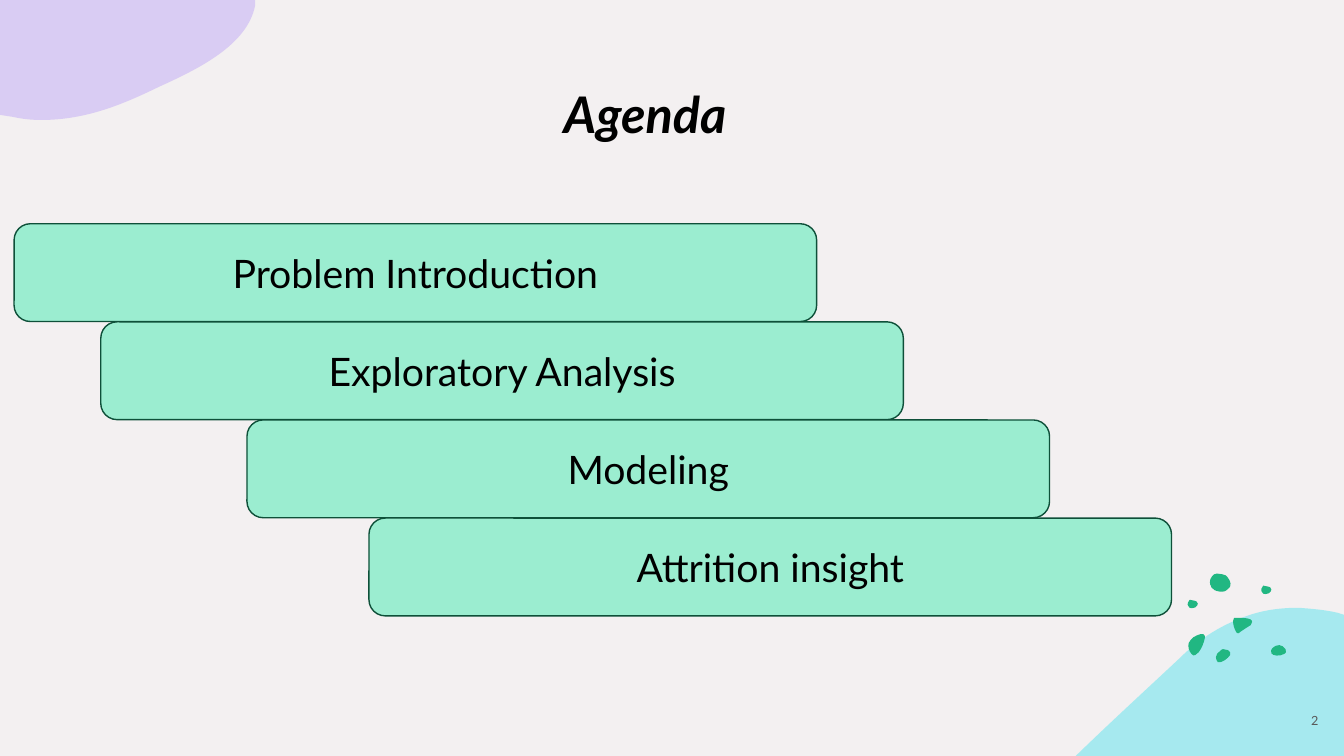
from pptx import Presentation
from pptx.dml.color import RGBColor
from pptx.enum.shapes import MSO_SHAPE
from pptx.enum.text import MSO_ANCHOR, MSO_AUTO_SIZE, PP_ALIGN
from pptx.oxml.ns import qn
from pptx.util import Inches, Pt
from lxml import etree

PAPER = RGBColor(0xF3, 0xF0, 0xF1)
AQUA = RGBColor(0x5B, 0xE4, 0xEE)
LILAC = RGBColor(0xC1, 0xA9, 0xF5)
GREEN = RGBColor(0x21, 0xB7, 0x82)
MINT = RGBColor(0x9B, 0xED, 0xD0)
PINE = RGBColor(0x0E, 0x50, 0x39)
BLACK = RGBColor(0x00, 0x00, 0x00)
GREY = RGBColor(0x59, 0x59, 0x59)

# Outlines in inches: a start point, then lines (x, y) or cubic curves (two handles, end)
WAVE = [(12.88, 6.03), (13.01, 6.04, 13.14, 6.05, 13.27, 6.08), (13.33, 6.1), (13.33, 7.5),
        (10.67, 7.5), (10.68, 7.49), (11.02, 7.16, 11.37, 6.84, 11.69, 6.54),
        (11.91, 6.32, 12.14, 6.19, 12.37, 6.11), (12.54, 6.05, 12.71, 6.03, 12.88, 6.03)]
CORNER = [(0, 0), (2.53, 0), (2.53, 0.06), (2.45, 0.44, 2, 0.67, 1.58, 0.86),
          (1.23, 1.03, 0.86, 1.19, 0.41, 1.19), (0.31, 1.19, 0.22, 1.18, 0.13, 1.16), (0, 1.14)]
PEBBLES = [
    [(12.13, 6.44), (12.15, 6.44, 12.16, 6.44, 12.18, 6.45), (12.2, 6.46, 12.21, 6.48, 12.2, 6.5),
     (12.18, 6.53, 12.12, 6.58, 12.08, 6.57), (12.07, 6.56, 12.06, 6.54, 12.06, 6.52),
     (12.06, 6.5, 12.08, 6.47, 12.1, 6.46), (12.11, 6.45, 12.12, 6.44, 12.13, 6.44)],
    [(11.91, 6.29), (11.93, 6.29, 11.95, 6.29, 11.95, 6.31), (11.95, 6.32, 11.95, 6.32, 11.95, 6.33),
     (11.94, 6.38, 11.92, 6.43, 11.89, 6.47), (11.87, 6.49, 11.84, 6.52, 11.82, 6.49),
     (11.79, 6.46, 11.78, 6.41, 11.79, 6.38), (11.8, 6.35, 11.82, 6.34, 11.84, 6.32),
     (11.85, 6.32, 11.88, 6.29, 11.91, 6.29)],
    [(12.69, 6.4), (12.71, 6.4, 12.74, 6.42, 12.75, 6.44), (12.76, 6.46, 12.76, 6.48, 12.73, 6.49),
     (12.7, 6.51, 12.62, 6.51, 12.61, 6.48), (12.6, 6.46, 12.61, 6.44, 12.62, 6.43),
     (12.64, 6.41, 12.66, 6.4, 12.69, 6.4)],
    [(12.01, 5.81), (12, 5.81, 11.99, 5.75, 12.02, 5.72), (12.04, 5.7, 12.04, 5.69, 12.07, 5.69),
     (12.1, 5.69, 12.14, 5.7, 12.16, 5.71), (12.18, 5.73, 12.22, 5.78, 12.2, 5.82),
     (12.17, 5.85, 12.16, 5.87, 12.12, 5.87), (12.09, 5.87, 12.04, 5.86, 12.03, 5.84),
     (12.01, 5.83, 12.01, 5.82, 12.01, 5.81)],
    [(12.28, 6.13), (12.34, 6.13, 12.45, 6.13, 12.41, 6.19), (12.41, 6.2, 12.4, 6.21, 12.39, 6.21),
     (12.36, 6.23, 12.33, 6.25, 12.3, 6.27), (12.29, 6.28, 12.28, 6.29, 12.27, 6.28),
     (12.27, 6.28, 12.26, 6.27, 12.26, 6.27), (12.24, 6.23, 12.23, 6.2, 12.23, 6.16),
     (12.23, 6.15, 12.23, 6.14, 12.24, 6.13), (12.24, 6.13, 12.25, 6.13, 12.25, 6.13),
     (12.26, 6.13, 12.27, 6.13, 12.28, 6.13)],
]
# The two smallest pebbles share one outline
SPECK = [(0, 0.05), (0, 0.05, 0, 0.01, 0.02, 0), (0.04, 0, 0.05, 0, 0.07, 0.01),
         (0.08, 0.01, 0.1, 0.02, 0.1, 0.04), (0.1, 0.05, 0.09, 0.07, 0.08, 0.07),
         (0.08, 0.07, 0.08, 0.08, 0.06, 0.08), (0.05, 0.08, 0.03, 0.09, 0.02, 0.08),
         (0.01, 0.06, 0, 0.06, 0, 0.05)]
SPECK_PLACES = [(12.51, 5.81), (11.78, 5.95)]


def draw_blob(shapes, outline, colour, opacity=100, left=0, top=0):
    steps = [[(Inches(left + x), Inches(top + y)) for x, y in zip(step[::2], step[1::2])]
             for step in outline]
    builder = shapes.build_freeform(*steps[0][0])
    builder.add_line_segments([step[-1] for step in steps[1:]], close=True)
    blob = builder.convert_to_shape()
    # Bend the straight segments that have handles
    origin_x = min(step[-1][0] for step in steps)
    origin_y = min(step[-1][1] for step in steps)
    for segment, step in zip(list(blob.element.iter(qn("a:lnTo"))), steps[1:]):
        if len(step) == 3:
            curve = etree.Element(qn("a:cubicBezTo"))
            for x, y in step:
                etree.SubElement(curve, qn("a:pt"), x=str(x - origin_x), y=str(y - origin_y))
            segment.getparent().replace(segment, curve)
    blob.shadow.inherit = False
    blob.line.fill.background()
    blob.fill.solid()
    blob.fill.fore_color.rgb = colour
    if opacity < 100:
        tint = blob.element.spPr.find(qn("a:solidFill")).find(qn("a:srgbClr"))
        etree.SubElement(tint, qn("a:alpha")).set("val", str(opacity * 1000))


def write_text(shape, text, colour, align, anchor, font):
    frame = shape.text_frame
    frame.word_wrap = True
    frame.vertical_anchor = anchor
    para = frame.paragraphs[0]
    para.alignment = align
    span = para.add_run()
    span.text = text
    span.font.color.rgb = colour
    for name, value in {"name": "Lato", **font}.items():
        setattr(span.font, name, value)


deck = Presentation()
deck.slide_width = Inches(13.33)
deck.slide_height = Inches(7.5)
page = deck.slides.add_slide(deck.slide_layouts[5])
page.background.fill.solid()
page.background.fill.fore_color.rgb = PAPER

# Decoration
draw_blob(page.shapes, WAVE, AQUA, 50)
pebble_group = page.shapes.add_group_shape()
for pebble in PEBBLES:
    draw_blob(pebble_group.shapes, pebble, GREEN)
for left, top in SPECK_PLACES:
    draw_blob(pebble_group.shapes, SPECK, GREEN, left=left, top=top)
draw_blob(page.shapes, CORNER, LILAC, 50)

# Slide number
number = page.shapes.add_textbox(Inches(12.75), Inches(6.95), Inches(0.58), Inches(0.4))
write_text(number, "2", GREY, PP_ALIGN.CENTER, MSO_ANCHOR.MIDDLE, {"size": Pt(9)})

# Agenda steps
steps = [("Problem Introduction", 0.14), ("Exploratory Analysis", 1),
         ("Modeling", 2.45), ("Attrition insight", 3.66)]
first_top, last_top = 2.22, 5.14
pitch = (last_top - first_top) / (len(steps) - 1)
for row, (label, left) in enumerate(steps):
    box = page.shapes.add_shape(MSO_SHAPE.ROUNDED_RECTANGLE, Inches(left),
                                Inches(first_top + row * pitch), Inches(7.96), Inches(0.97))
    box.shadow.inherit = False
    box.fill.solid()
    box.fill.fore_color.rgb = MINT
    box.line.color.rgb = PINE
    box.line.width = Pt(1)
    write_text(box, label, BLACK, PP_ALIGN.CENTER, MSO_ANCHOR.MIDDLE, {"size": Pt(28)})

# Title
title = page.shapes.title
title.left, title.top, title.width, title.height = map(Inches, (5.49, 0.77, 2.15, 1.25))
write_text(title, "Agenda", BLACK, PP_ALIGN.LEFT, MSO_ANCHOR.TOP,
           {"size": Pt(36), "bold": True, "italic": True})
title.text_frame.auto_size = MSO_AUTO_SIZE.NONE

deck.save("out.pptx")
